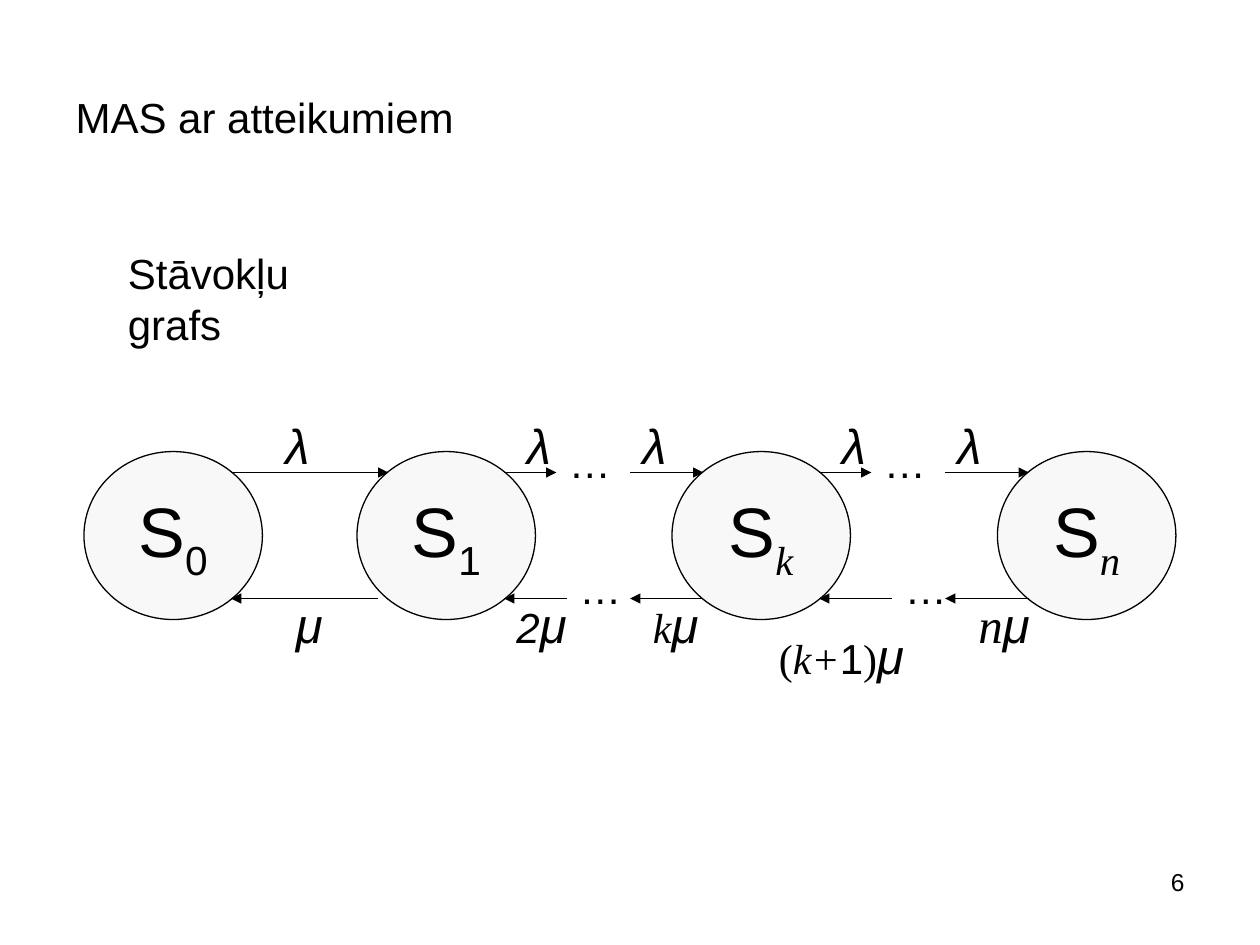
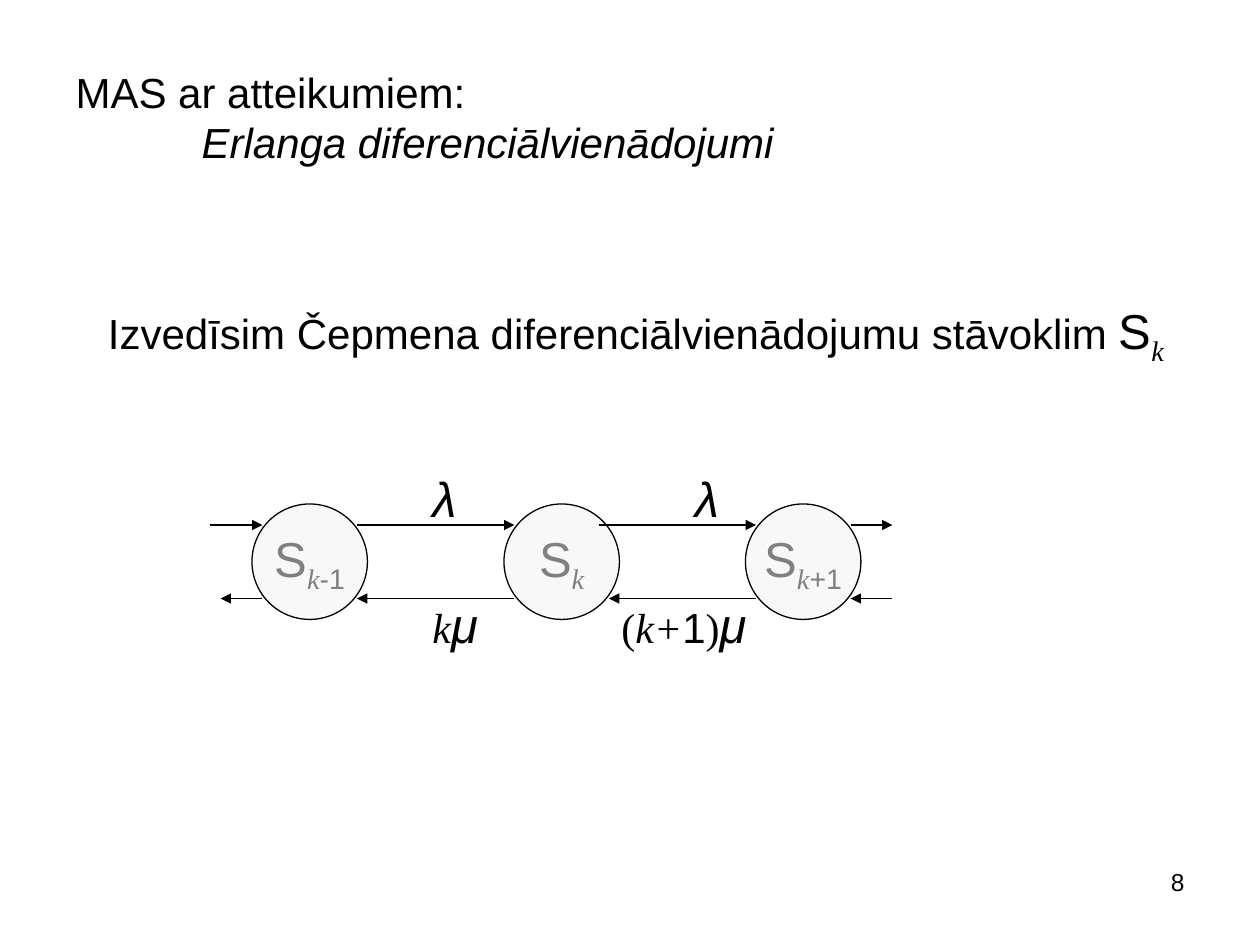
from dataclasses import dataclass

from lxml.etree import SubElement
from pptx import Presentation
from pptx.dml.color import RGBColor as RGB
from pptx.enum.shapes import MSO_CONNECTOR as LINK, MSO_SHAPE as SHAPE
from pptx.enum.text import MSO_ANCHOR as ANCHOR, MSO_AUTO_SIZE as FIT, PP_ALIGN as ALIGN
from pptx.oxml.ns import qn
from pptx.util import Inches, Pt


@dataclass(frozen=True)
class Theme:
    ink: RGB = RGB(0, 0, 0)
    grey: RGB = RGB(0x80, 0x80, 0x80)
    fill: RGB = RGB(0xF8, 0xF8, 0xF8)
    sans: str = "Arial"
    serif: str = "Times New Roman"
    body: int = 24
    rate: int = 28
    state: int = 40
    page: int = 14
    line: float = 0.75


T = Theme()
COLS, ROWS = 120, 90
WIDE, HIGH = Inches(10), Inches(7.5)

# Run formats
MATH = dict(face=T.serif, italic=True)
SUB = dict(sub=True)
GREEK = dict(size=T.rate, italic=True)

# Rates, as lists of (text, format)
LAMBDA = [("λ", GREEK)]
MU = ("μ", GREEK)
K_MU = [("k", MATH), MU]
K1_MU = [("(", dict(face=T.serif)), ("k+", MATH), ("1", {}),
         (")", dict(face=T.serif)), MU]


def col(n):
    return round(WIDE * n / COLS)


def row(n):
    return round(HIGH * n / ROWS)


def area(x, y, w, h):
    return col(x), row(y), col(w), row(h)


def write(frame, runs, size=T.body, color=T.ink, align=ALIGN.LEFT,
          anchor=ANCHOR.TOP, wrap=False, fit=FIT.NONE):
    """Fill a text frame; a run of "\\n" is a line break."""
    frame.word_wrap, frame.vertical_anchor, frame.auto_size = wrap, anchor, fit
    para = frame.paragraphs[0]
    para.alignment = align
    for text, style in runs:
        if text == "\n":
            para.add_line_break()
            continue
        run = para.add_run()
        run.text = text
        font = run.font
        font.name = style.get("face", T.sans)
        font.size = Pt(style.get("size", size))
        font.italic = style.get("italic", False)
        font.color.rgb = color
        if style.get("sub"):
            run._r.get_or_add_rPr().set("baseline", "-25000")
    return para


def label(slide, runs, x, y, w, h=6.8, fit=FIT.SHAPE_TO_FIT_TEXT, **form):
    box = slide.shapes.add_textbox(*area(x, y, w, h))
    write(box.text_frame, runs, fit=fit, **form)


def state(slide, index, x, y, w, h, **form):
    """A state circle: S with its index below the line."""
    oval = slide.shapes.add_shape(SHAPE.OVAL, *area(x, y, w, h))
    oval.shadow.inherit = False
    oval.fill.solid()
    oval.fill.fore_color.rgb = T.fill
    oval.line.color.rgb = T.ink
    oval.line.width = Pt(T.line)
    runs = [("S", {})] + [(text, {**style, **SUB}) for text, style in index]
    write(oval.text_frame, runs, align=ALIGN.CENTER, anchor=ANCHOR.MIDDLE, **form)


def arrow(slide, start, end, y):
    link = slide.shapes.add_connector(LINK.STRAIGHT, col(start), row(y), col(end), row(y))
    link.line.color.rgb = T.ink
    link.line.width = Pt(T.line)
    SubElement(link.line._get_or_add_ln(), qn("a:tailEnd"), type="triangle")
    SubElement(link._element.spPr, qn("a:effectLst"))


def arrows(slide, y, spans):
    for start, end in spans:
        arrow(slide, start, end, y)


def page(deck, runs, number):
    """A slide with its title and page number."""
    slide = deck.slides.add_slide(deck.slide_layouts[5])
    title = slide.shapes.title
    title.left, title.top, title.width, title.height = area(6, 3.6, 108, 15)
    para = write(title.text_frame, runs, anchor=ANCHOR.MIDDLE, wrap=True)
    tabs = SubElement(para._p.get_or_add_pPr(), qn("a:tabLst"))
    SubElement(tabs, qn("a:tab"), pos=str(Inches(1)), algn="l")
    label(slide, [(str(number), {})], 86, 82, 28, 6.2, size=T.page,
          align=ALIGN.RIGHT, wrap=True, fit=FIT.NONE)
    return slide


def graph(deck):
    slide = page(deck, [("MAS ar atteikumiem", {})], 6)
    label(slide, [("Stāvokļu grafs", {})], 11, 23, 27.7, 6)

    # States
    for x, name, style in ((8, "0", {}), (34, "1", {}), (64, "k", MATH), (95, "n", MATH)):
        state(slide, [(name, style)], x, 43, 17, 16, size=T.state)

    # Arrivals above, services below
    arrows(slide, 45, ((22, 37), (48, 53), (60, 67), (78, 83), (90, 98)))
    arrows(slide, 57, ((36, 22), (54, 48), (67, 60), (85, 78), (98, 90)))

    # Rates
    for x in (26, 49, 60, 79, 90):
        label(slide, LAMBDA, x, 39, 4.9)
    label(slide, [MU], 27, 56, 5)
    label(slide, [("2", dict(italic=True)), MU], 48, 56, 7.3)
    label(slide, K_MU, 61, 56, 6.8)
    label(slide, K1_MU, 73, 59, 14.4)
    label(slide, [("n", {**MATH, "size": T.rate}), MU], 92, 56, 7.4)

    # Skipped states
    for x, y in ((53, 41), (83, 41), (54, 53), (85, 53)):
        label(slide, [("…", {})], x, y, 6.4, 6)


def detail(deck):
    slide = page(deck, [("MAS ar atteikumiem:", {}), ("\n", {}), ("\t", {}),
                        ("Erlanga diferenciālvienādojumi", dict(italic=True))], 8)
    label(slide, [("Izvedīsim Čepmena diferenciālvienādojumu stāvoklim ", {}),
                  ("S", dict(size=T.rate)), ("k", {**MATH, **SUB, "size": T.rate})],
          9.1, 28, 103, 7.6)

    # States
    for x, tail in ((24, "-1"), (48, ""), (71, "+1")):
        index = [("k", MATH)] + ([(tail, {})] if tail else [])
        state(slide, index, x, 48, 11, 11, size=T.rate, color=T.grey)

    # Arrivals above, services below
    arrows(slide, 50, ((20, 25), (34, 49), (57, 72), (81, 85)))
    arrows(slide, 57, ((25, 21), (49, 34), (72, 58), (85, 81)))

    # Rates
    for x in (40, 65):
        label(slide, LAMBDA, x, 44, 4.9)
    label(slide, K_MU, 40, 56, 6.8)
    label(slide, K1_MU, 58, 56, 14.4)


def main():
    deck = Presentation()
    deck.slide_width, deck.slide_height = WIDE, HIGH
    graph(deck)
    detail(deck)
    deck.save("out.pptx")


if __name__ == "__main__":
    main()
